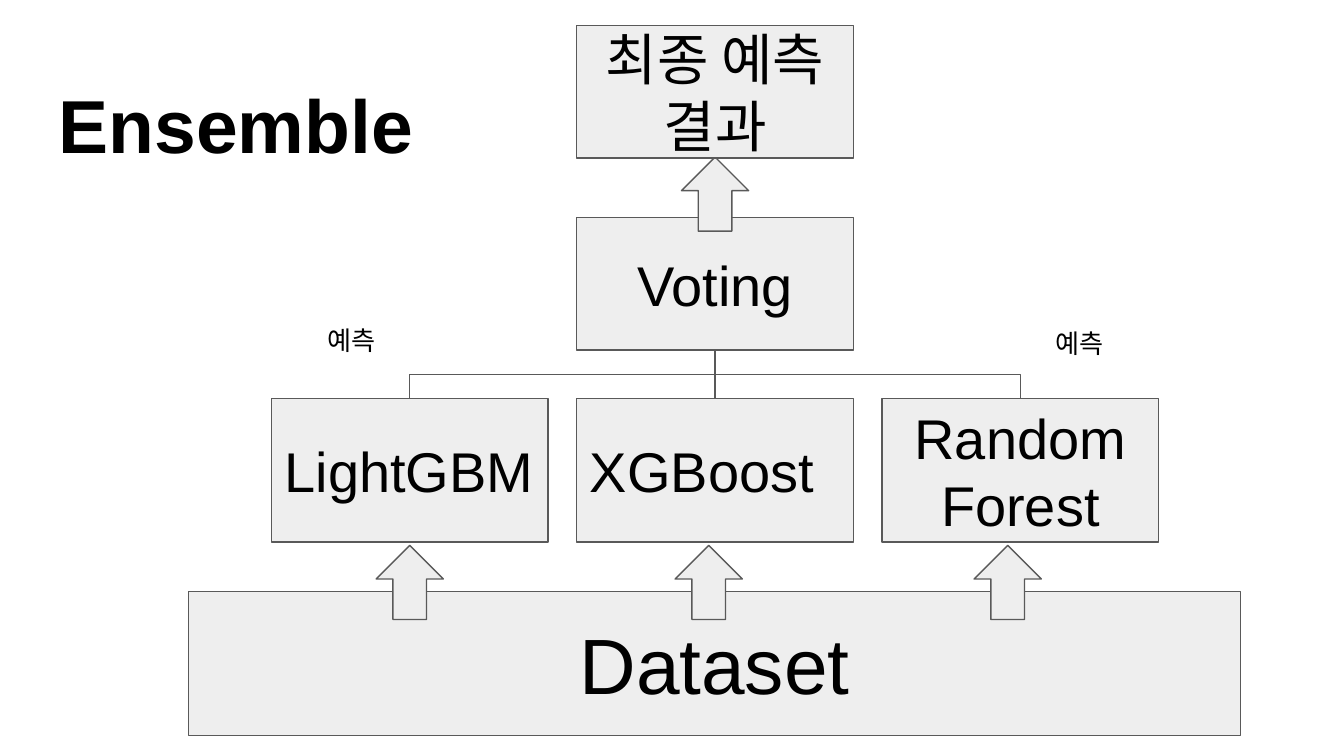
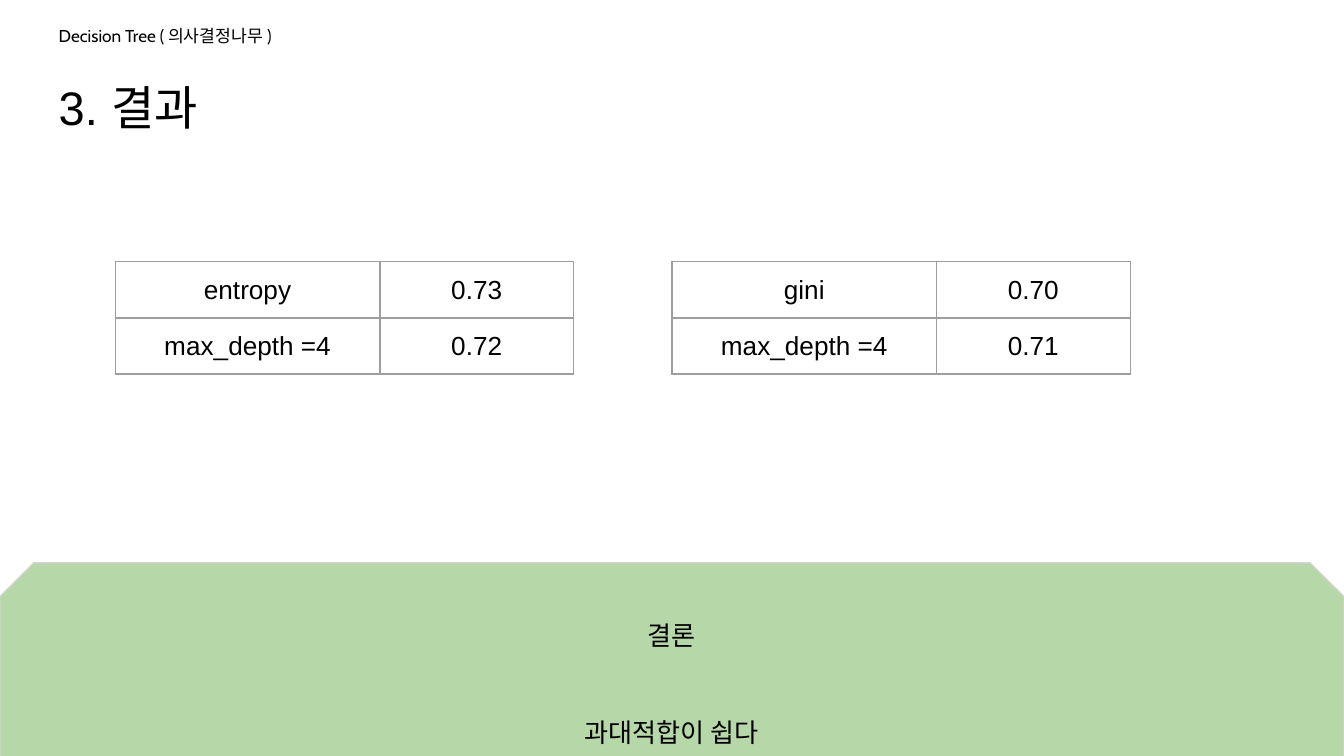
from dataclasses import dataclass

from lxml import etree
from pptx import Presentation
from pptx.dml.color import RGBColor
from pptx.enum.shapes import MSO_CONNECTOR, MSO_SHAPE
from pptx.enum.text import MSO_ANCHOR, MSO_AUTO_SIZE, PP_ALIGN
from pptx.oxml.ns import qn
from pptx.util import Cm, Pt

RECTANGLE = MSO_SHAPE.RECTANGLE
UP_ARROW = MSO_SHAPE.UP_ARROW
SNIPPED = MSO_SHAPE.SNIP_2_SAME_RECTANGLE
STRAIGHT = MSO_CONNECTOR.STRAIGHT
ELBOW = MSO_CONNECTOR.ELBOW
TOP = MSO_ANCHOR.TOP
MIDDLE = MSO_ANCHOR.MIDDLE
LEFT = PP_ALIGN.LEFT
CENTER = PP_ALIGN.CENTER
NO_AUTOFIT = MSO_AUTO_SIZE.NONE


@dataclass(frozen=True)
class Theme:
    font: str = "Arial"
    topic_font: str = "Cabin"
    text: str = "000000"
    box: str = "EEEEEE"
    outline: str = "595959"
    table_border: str = "9E9E9E"
    conclusion: str = "B6D7A8"
    conclusion_outline: str = "D3D3D3"
    title_size: float = 40.2
    heading_size: float = 25.2
    topic_size: float = 9.2
    dataset_size: float = 42
    box_size: float = 30
    body_size: float = 14
    line_width: float = 0.75
    inset: float = 0.25


THEME = Theme()
BOX_WIDTH = 5.23
BOX_LEFT = 10.9
BOX_CENTER = BOX_LEFT + BOX_WIDTH / 2
BOX_HEIGHT = 2.51
TALL_HEIGHT = 2.72
VOTING_TOP = 4.11
MODEL_TOP = 7.53
MODEL_STEP = 5.77
ARROW_STEP = 5.65


def color(value):
    return RGBColor.from_string(value)


def format_text(text_frame, size, align=LEFT, anchor=TOP, font=THEME.font, bold=False):
    text_frame.word_wrap = True
    text_frame.auto_size = NO_AUTOFIT
    text_frame.vertical_anchor = anchor
    text_frame.margin_left = text_frame.margin_right = Cm(THEME.inset)
    text_frame.margin_top = text_frame.margin_bottom = Cm(THEME.inset)
    format_paragraphs(text_frame, size, align, font, bold)


def format_paragraphs(text_frame, size, align, font=THEME.font, bold=False):
    for paragraph in text_frame.paragraphs:
        paragraph.alignment = align
        for run in paragraph.runs:
            run.font.name = font
            run.font.size = Pt(size)
            run.font.bold = bold
            run.font.color.rgb = color(THEME.text)


def set_title(slide, text, size, bold=False):
    title = slide.shapes.title
    title.left, title.top, title.width, title.height = Cm(0.86), Cm(1.24), Cm(23.67), Cm(1.6)
    title.text_frame.text = text
    format_text(title.text_frame, size, bold=bold)


def add_label(slide, text, left, top, width, height, size=THEME.body_size, font=THEME.font):
    label = slide.shapes.add_textbox(Cm(left), Cm(top), Cm(width), Cm(height))
    label.text_frame.text = text
    format_text(label.text_frame, size, font=font)


def add_filled_shape(slide, kind, left, top, width, height, fill=THEME.box, outline=THEME.outline):
    shape = slide.shapes.add_shape(kind, Cm(left), Cm(top), Cm(width), Cm(height))
    shape.shadow.inherit = False
    shape.fill.solid()
    shape.fill.fore_color.rgb = color(fill)
    shape.line.color.rgb = color(outline)
    shape.line.width = Pt(THEME.line_width)
    return shape


def add_box(slide, text, left, top, width=BOX_WIDTH, height=BOX_HEIGHT,
            size=THEME.box_size, align=CENTER):
    box = add_filled_shape(slide, RECTANGLE, left, top, width, height)
    box.text_frame.text = text
    format_text(box.text_frame, size, align, MIDDLE)


def add_up_arrow(slide, left, top):
    add_filled_shape(slide, UP_ARROW, left, top, 1.27, 1.4)


def add_line(slide, kind, start, end):
    connector = slide.shapes.add_connector(kind, *(Cm(value) for value in (*start, *end)))
    connector.line.color.rgb = color(THEME.outline)
    connector.line.width = Pt(THEME.line_width)
    etree.SubElement(connector.element.spPr, qn("a:effectLst"))
    return connector


def add_vertical_elbow(slide, start, end):
    center_x, center_y = (start[0] + end[0]) / 2, (start[1] + end[1]) / 2
    half_width, half_height = abs(end[1] - start[1]) / 2, abs(end[0] - start[0]) / 2
    side = 1 if start[0] < end[0] else -1
    connector = add_line(slide, ELBOW,
                         (center_x - side * half_width, center_y - half_height),
                         (center_x + side * half_width, center_y + half_height))
    degrees = 270 if side == 1 else 90
    connector.element.spPr.find(qn("a:xfrm")).set("rot", str(degrees * 60000))


def set_borders(cell):
    properties = cell._tc.get_or_add_tcPr()
    for index, edge in enumerate(("a:lnL", "a:lnR", "a:lnT", "a:lnB")):
        border = etree.Element(qn(edge), w=str(Pt(THEME.line_width)))
        fill = etree.SubElement(border, qn("a:solidFill"))
        etree.SubElement(fill, qn("a:srgbClr"), val=THEME.table_border)
        properties.insert(index, border)


def add_score_table(slide, left, rows):
    widths, row_height = (5, 3.66), 1.06
    frame = slide.shapes.add_table(len(rows), len(widths), Cm(left), Cm(4.95),
                                   Cm(sum(widths)), Cm(row_height * len(rows)))
    table = frame.table
    table.first_row = table.horz_banding = False
    for column, width in zip(table.columns, widths):
        column.width = Cm(width)
    for row, values in zip(table.rows, rows):
        row.height = Cm(row_height)
        for cell, value in zip(row.cells, values):
            cell.text_frame.text = value
            cell.vertical_anchor = MIDDLE
            cell.margin_left = cell.margin_right = Cm(THEME.inset)
            cell.margin_top = cell.margin_bottom = Cm(THEME.inset)
            format_paragraphs(cell.text_frame, THEME.body_size, CENTER)
            cell.fill.background()
            set_borders(cell)


def add_conclusion(slide, lines):
    band = add_filled_shape(slide, SNIPPED, 0, 10.64, 25.4, 3.76,
                            THEME.conclusion, THEME.conclusion_outline)
    band.adjustments[0], band.adjustments[1] = 0.17, 0
    band.text_frame.text = "\n".join(lines)
    format_text(band.text_frame, THEME.body_size, CENTER, MIDDLE)
    for index, paragraph in enumerate(band.text_frame.paragraphs):
        paragraph.line_spacing = 1.83
        if index:
            paragraph.space_before = paragraph.space_after = Pt(21)


def build_ensemble(slide):
    set_title(slide, "Ensemble", THEME.title_size, bold=True)
    add_box(slide, "Voting", BOX_LEFT, VOTING_TOP)
    add_box(slide, "Dataset", 3.56, 11.18, 19.89, TALL_HEIGHT, THEME.dataset_size)
    voting_bottom = (BOX_CENTER, VOTING_TOP + BOX_HEIGHT)
    models = (("LightGBM", LEFT), ("XGBoost", LEFT), ("Random Forest", CENTER))
    for index, (model, align) in enumerate(models):
        offset = (index - 1) * MODEL_STEP
        add_box(slide, model, BOX_LEFT + offset, MODEL_TOP, height=TALL_HEIGHT, align=align)
        add_up_arrow(slide, 7.11 + index * ARROW_STEP, 10.31)
        model_top = (BOX_CENTER + offset, MODEL_TOP)
        if offset:
            add_vertical_elbow(slide, model_top, voting_bottom)
        else:
            add_line(slide, STRAIGHT, model_top, voting_bottom)
    add_label(slide, "예측", 5.94, 5.89, 2.44, 1.12)
    add_label(slide, "예측", 19.69, 5.94, 2.08, 1.12)
    add_up_arrow(slide, 12.88, 2.97)
    add_box(slide, "최종 예측 결과", BOX_LEFT, 0.48)


def build_results(slide):
    set_title(slide, "3. 결과", THEME.heading_size)
    add_label(slide, "Decision Tree ( 의사결정나무 )", 0.86, 0.23, 5.41, 1.02,
              THEME.topic_size, THEME.topic_font)
    add_score_table(slide, 2.18, (("entropy", "0.73"), ("max_depth =4", "0.72")))
    add_score_table(slide, 12.7, (("gini", "0.70"), ("max_depth =4", "0.71")))
    add_conclusion(slide, ("결론", "과대적합이 쉽다"))


def main():
    presentation = Presentation()
    presentation.slide_width, presentation.slide_height = Cm(25.4), Cm(14.29)
    title_only = presentation.slide_layouts[5]
    for build in (build_ensemble, build_results):
        build(presentation.slides.add_slide(title_only))
    presentation.save("out.pptx")


if __name__ == "__main__":
    main()
